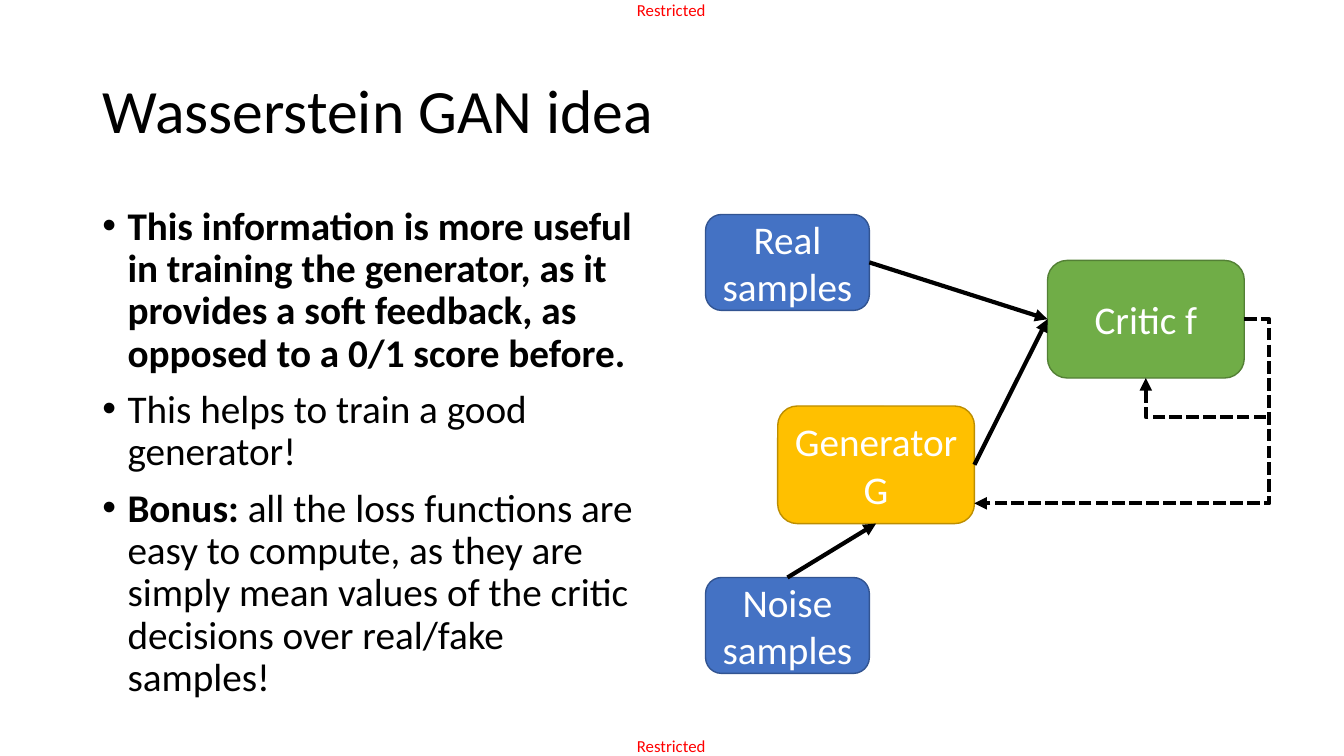
from lxml import etree
from pptx import Presentation
from pptx.dml.color import RGBColor
from pptx.enum.dml import MSO_LINE
from pptx.enum.shapes import MSO_CONNECTOR as Link, MSO_SHAPE as Shape
from pptx.enum.text import MSO_ANCHOR as Anchor, MSO_AUTO_SIZE as AutoSize, PP_ALIGN as Align
from pptx.oxml.ns import qn
from pptx.util import Pt

BLACK = RGBColor(0x00, 0x00, 0x00)
WHITE = RGBColor(0xFF, 0xFF, 0xFF)
RED = RGBColor(0xFF, 0x00, 0x00)
BLUE, BLUE_EDGE = RGBColor(0x44, 0x72, 0xC4), RGBColor(0x32, 0x54, 0x91)
GOLD, GOLD_EDGE = RGBColor(0xFF, 0xC0, 0x00), RGBColor(0xBD, 0x8E, 0x00)
GREEN, GREEN_EDGE = RGBColor(0x70, 0xAD, 0x47), RGBColor(0x53, 0x80, 0x35)
TOP, LEFT, BOTTOM, RIGHT = range(4)


class SlideBuilder:
    font = "Calibri"
    text_size = 28

    def __init__(self, page):
        self.page = page

    def span(self, para, text, size, color, bold=False):
        run = para.add_run()
        run.text = text
        run.font.name = self.font
        run.font.size = Pt(size)
        run.font.bold = bold
        run.font.color.rgb = color

    def title(self, text, left, top, width, height):
        box = self.page.shapes.title
        box.left, box.top, box.width, box.height = map(Pt, (left, top, width, height))
        frame = box.text_frame
        frame.auto_size = AutoSize.NONE
        frame.vertical_anchor = Anchor.MIDDLE
        para = frame.paragraphs[0]
        para.alignment = Align.LEFT
        para.line_spacing = 0.9
        self.span(para, text, 44, BLACK)

    def marking(self, text, left, top, width, height):
        box = self.page.shapes.add_textbox(*map(Pt, (left, top, width, height)))
        frame = box.text_frame
        frame.margin_left = frame.margin_right = frame.margin_top = frame.margin_bottom = 0
        self.span(frame.paragraphs[0], text, 12, RED)

    def bullets(self, items, left, top, width, height):
        box = self.page.shapes.add_textbox(*map(Pt, (left, top, width, height)))
        frame = box.text_frame
        frame.word_wrap = True
        for index, spans in enumerate(items):
            para = frame.add_paragraph() if index else frame.paragraphs[0]
            props = para._p.get_or_add_pPr()
            props.set("marL", str(Pt(18)))
            props.set("indent", str(-Pt(18)))
            etree.SubElement(props, qn("a:buFont")).set("typeface", "Arial")
            etree.SubElement(props, qn("a:buChar")).set("char", "•")
            para.line_spacing = 0.9
            para.space_before = Pt(10 if index else 0)
            for text, bold in spans:
                self.span(para, text, self.text_size, BLACK, bold)

    def block(self, text, left, top, width, height, fill, edge):
        box = self.page.shapes.add_shape(
            Shape.ROUNDED_RECTANGLE, *map(Pt, (left, top, width, height)))
        box.shadow.inherit = False
        box.fill.solid()
        box.fill.fore_color.rgb = fill
        box.line.color.rgb = edge
        box.line.width = Pt(1)
        frame = box.text_frame
        frame.word_wrap = True
        frame.vertical_anchor = Anchor.MIDDLE
        para = frame.paragraphs[0]
        para.alignment = Align.CENTER
        self.span(para, text, self.text_size, WHITE)
        return box

    def arrow(self, kind, start=(0, 0), end=(0, 0)):
        line = self.page.shapes.add_connector(kind, *map(Pt, (*start, *end)))
        line.line.color.rgb = BLACK
        line.line.width = Pt(3)
        if kind == Link.ELBOW:
            line.line.dash_style = MSO_LINE.SQUARE_DOT
        etree.SubElement(line.line._get_or_add_ln(), qn("a:tailEnd")).set("type", "triangle")
        etree.SubElement(line._element.spPr, qn("a:effectLst"))
        return line

    def join(self, source, source_side, target, target_side):
        line = self.arrow(Link.STRAIGHT)
        line.begin_connect(source, source_side)
        line.end_connect(target, target_side)

    def feedback(self, start, end, preset, bend=None):
        line = self.arrow(Link.ELBOW, start, end)
        geometry = line._element.spPr.find(qn("a:prstGeom"))
        geometry.set("prst", preset)
        if bend is not None:
            guides = geometry.find(qn("a:avLst"))
            guide = etree.SubElement(guides, qn("a:gd"))
            guide.set("name", "adj1")
            guide.set("fmla", f"val {round(bend * 100000)}")


def main():
    deck = Presentation()
    deck.slide_width, deck.slide_height = Pt(960), Pt(540)
    slide = SlideBuilder(deck.slides.add_slide(deck.slide_layouts[5]))

    # Markings, title and bullets
    for top in (0, 525.6):
        slide.marking("Restricted", 455, top, 52.5, 14.4)
    slide.title("Wasserstein GAN idea", 66, 28.75, 828, 104.4)
    slide.bullets([
        [("This information is more useful in training the generator, as it provides "
          "a soft feedback, as opposed to a 0/1 score before.", True)],
        [("This helps to train a good generator!", False)],
        [("Bonus: ", True),
         ("all the loss functions are easy to compute, as they are simply mean values "
          "of the critic decisions over real/fake samples!", False)],
    ], 66, 143.75, 408, 396)

    # Network blocks
    real, noise = [
        slide.block(text, 504, top, 117, 68.5, BLUE, BLUE_EDGE)
        for text, top in (("Real samples", 153.2), ("Noise samples", 412.5))]
    generator = slide.block("Generator G", 555.5, 290, 140.5, 84, GOLD, GOLD_EDGE)
    critic = slide.block("Critic f", 748.25, 186, 140.5, 84, GREEN, GREEN_EDGE)

    # Data flow
    slide.join(real, RIGHT, critic, LEFT)
    slide.join(generator, RIGHT, critic, LEFT)
    slide.arrow(Link.STRAIGHT, (562.5, 412.5), (625.75, 374))

    # Dashed feedback
    slide.feedback((888.75, 228), (696, 359.5), "bentConnector3", -0.093)
    slide.feedback((904.5, 298), (818.5, 270), "bentConnector2")

    deck.save("out.pptx")


if __name__ == "__main__":
    main()
